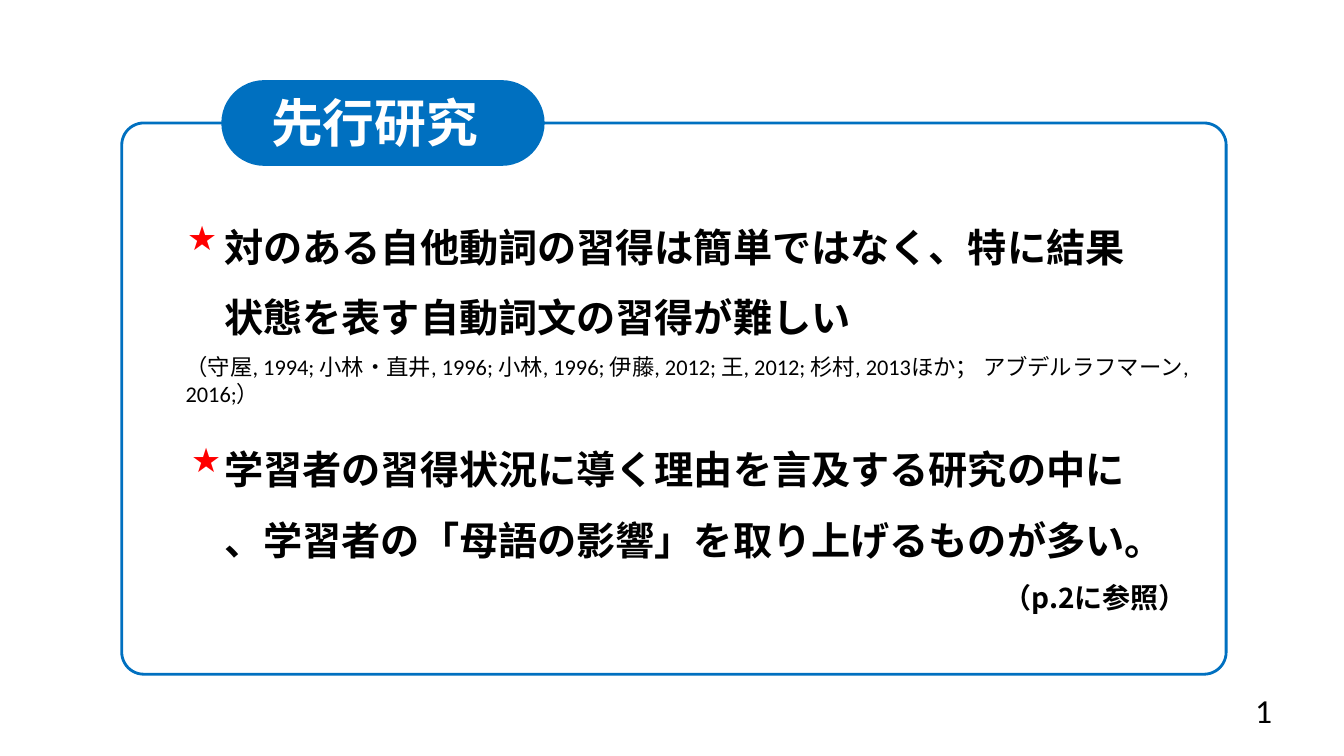
from dataclasses import dataclass

import lxml.etree
import pptx
import pptx.dml.color
import pptx.enum.shapes
import pptx.enum.text
import pptx.oxml.ns
import pptx.util

Cm = pptx.util.Cm
Pt = pptx.util.Pt
ALIGN = pptx.enum.text.PP_ALIGN
ANCHOR = pptx.enum.text.MSO_ANCHOR

BLUE = pptx.dml.color.RGBColor(0x00, 0x70, 0xC0)
RED = pptx.dml.color.RGBColor(0xFF, 0x00, 0x00)
WHITE = pptx.dml.color.RGBColor(0xFF, 0xFF, 0xFF)
BLACK = pptx.dml.color.RGBColor(0x00, 0x00, 0x00)

LATIN = "Calibri"
JAPANESE = "Noto Sans CJK JP"
CHINESE = "Noto Sans CJK SC"


@dataclass(frozen=True)
class Box:
    left: float
    top: float
    width: float
    height: float

    def lengths(self) -> tuple:
        return Cm(self.left), Cm(self.top), Cm(self.width), Cm(self.height)


@dataclass(frozen=True)
class Finding:
    box: Box
    star: Box
    lines: tuple
    reference: str = ""


FINDINGS = (
    Finding(
        Box(4.47, 4.93, 24.99, 3.51),
        Box(4.47, 5.33, 1.37, 1.27),
        ("対のある自他動詞の習得は簡単ではなく、特に結果", "状態を表す自動詞文の習得が難しい"),
    ),
    Finding(
        Box(4.47, 10.54, 25.65, 5.08),
        Box(4.57, 10.92, 1.37, 1.27),
        ("学習者の習得状況に導く理由を言及する研究の中に", "、学習者の「母語の影響」を取り上げるものが多い。"),
        "（p.2に参照）",
    ),
)
CITATION = (
    "（守屋, 1994; 小林・直井, 1996; 小林, 1996; 伊藤, 2012; 王, 2012; "
    "杉村, 2013ほか； アブデルラフマーン, 2016;）"
)


def write(paragraph, text: str, *, size: float, color=BLACK, font: str = LATIN,
          east_asian: str = LATIN, bold: bool = False, align=ALIGN.LEFT,
          spacing: float = 1.0, indent: float = 0) -> None:
    properties = paragraph._p.get_or_add_pPr()
    properties.set("marL", str(Pt(indent)))
    properties.set("indent", "0")
    lxml.etree.SubElement(properties, pptx.oxml.ns.qn("a:buNone"))
    paragraph.alignment = align
    paragraph.line_spacing = spacing
    paragraph.space_before = Pt(0)
    run = paragraph.add_run()
    run.text = text
    run.font.size = Pt(size)
    run.font.bold = bold
    run.font.color.rgb = color
    run.font.name = font
    typeface = lxml.etree.SubElement(run._r.get_or_add_rPr(), pptx.oxml.ns.qn("a:ea"))
    typeface.set("typeface", east_asian)


def place(holder, box: Box, *, anchor=ANCHOR.TOP, inset: tuple = (0.25, 0.13), wrap: bool = True):
    holder.left, holder.top, holder.width, holder.height = box.lengths()
    frame = holder.text_frame
    frame.word_wrap = wrap
    frame.auto_size = pptx.enum.text.MSO_AUTO_SIZE.NONE
    frame.vertical_anchor = anchor
    frame.margin_left = frame.margin_right = Cm(inset[0])
    frame.margin_top = frame.margin_bottom = Cm(inset[1])
    return frame


def add_note(slide, box: Box, text: str, *, wrap: bool = True, **style) -> None:
    note = slide.shapes.add_textbox(*box.lengths())
    write(place(note, box, wrap=wrap).paragraphs[0], text, **style)


def add_rounded(slide, box: Box, rounding: float):
    outline = slide.shapes.add_shape(
        pptx.enum.shapes.MSO_SHAPE.ROUNDED_RECTANGLE, *box.lengths())
    outline.adjustments[0] = rounding
    outline.shadow.inherit = False
    return outline


def add_heading(slide) -> None:
    border = add_rounded(slide, Box(3.07, 3.1, 27.84, 13.89), 0.04)
    border.fill.background()
    border.line.color.rgb = BLUE
    border.line.width = Pt(2)
    pill = add_rounded(slide, Box(5.58, 2.02, 8.15, 2.16), 0.5)
    pill.fill.solid()
    pill.fill.fore_color.rgb = BLUE
    pill.line.fill.background()
    heading = slide.shapes.title
    for backdrop in (border, pill):
        heading.element.addprevious(backdrop.element)
    frame = place(heading, Box(5.73, 2.4, 7.42, 1.35), anchor=ANCHOR.MIDDLE)
    write(frame.paragraphs[0], "先行研究", size=37, color=WHITE, font=CHINESE,
          east_asian=CHINESE, bold=True, align=ALIGN.CENTER)


def add_finding(slide, holder, finding: Finding) -> None:
    frame = place(holder, finding.box, inset=(0.2, 0.1))
    style = dict(font=JAPANESE, east_asian=JAPANESE, bold=True, spacing=1.5)
    for number, line in enumerate(finding.lines):
        paragraph = frame.add_paragraph() if number else frame.paragraphs[0]
        write(paragraph, line, size=28, align=ALIGN.JUSTIFY, indent=28, **style)
    if finding.reference:
        write(frame.add_paragraph(), finding.reference, size=20, align=ALIGN.RIGHT, **style)
    add_note(slide, finding.star, "★", size=24, color=RED, wrap=False)


def main() -> None:
    deck = pptx.Presentation()
    deck.slide_width, deck.slide_height = Cm(33.88), Cm(19.05)
    slide = deck.slides.add_slide(deck.slide_layouts[3])
    add_heading(slide)
    for holder_index, finding in enumerate(FINDINGS, start=1):
        add_finding(slide, slide.placeholders[holder_index], finding)
    add_note(slide, Box(31.39, 17.25, 0.94, 1.27), "1", size=24)
    add_note(slide, Box(4.43, 8.77, 26.49, 0.94), CITATION, size=16)
    deck.save("out.pptx")


if __name__ == "__main__":
    main()
